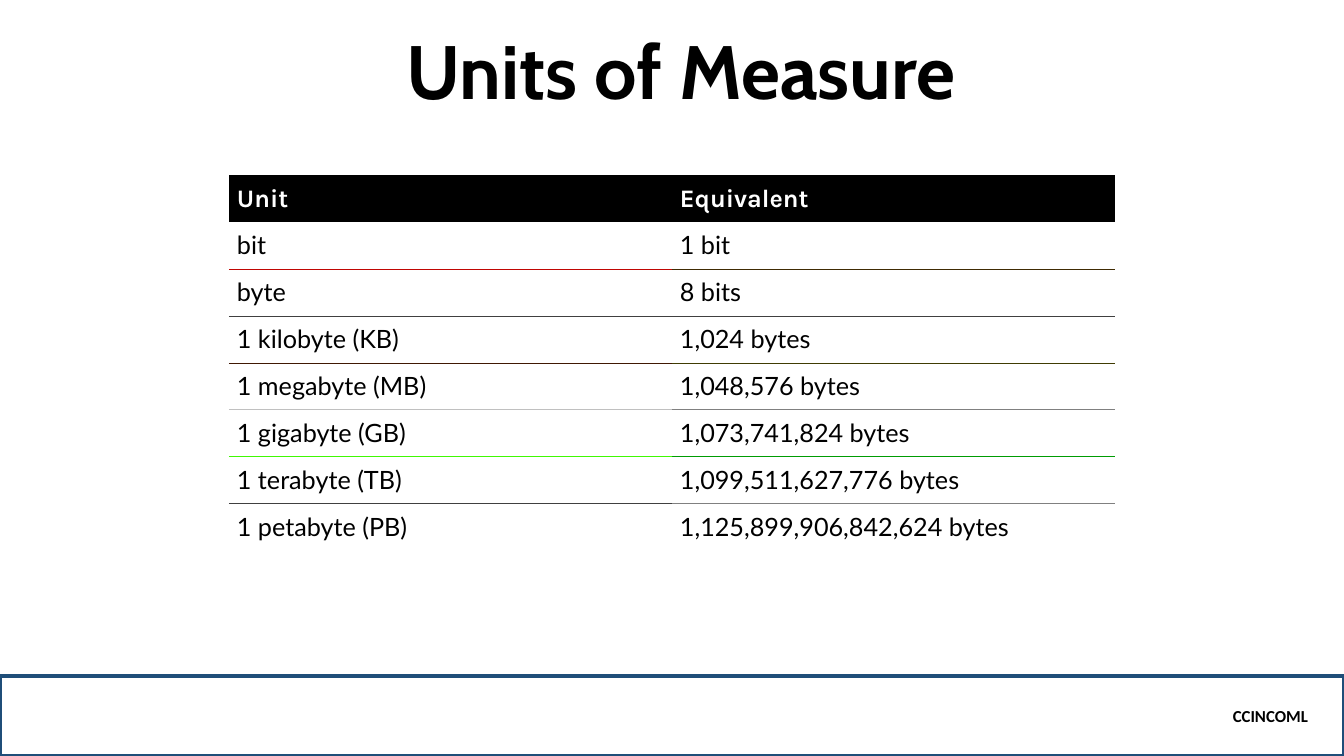
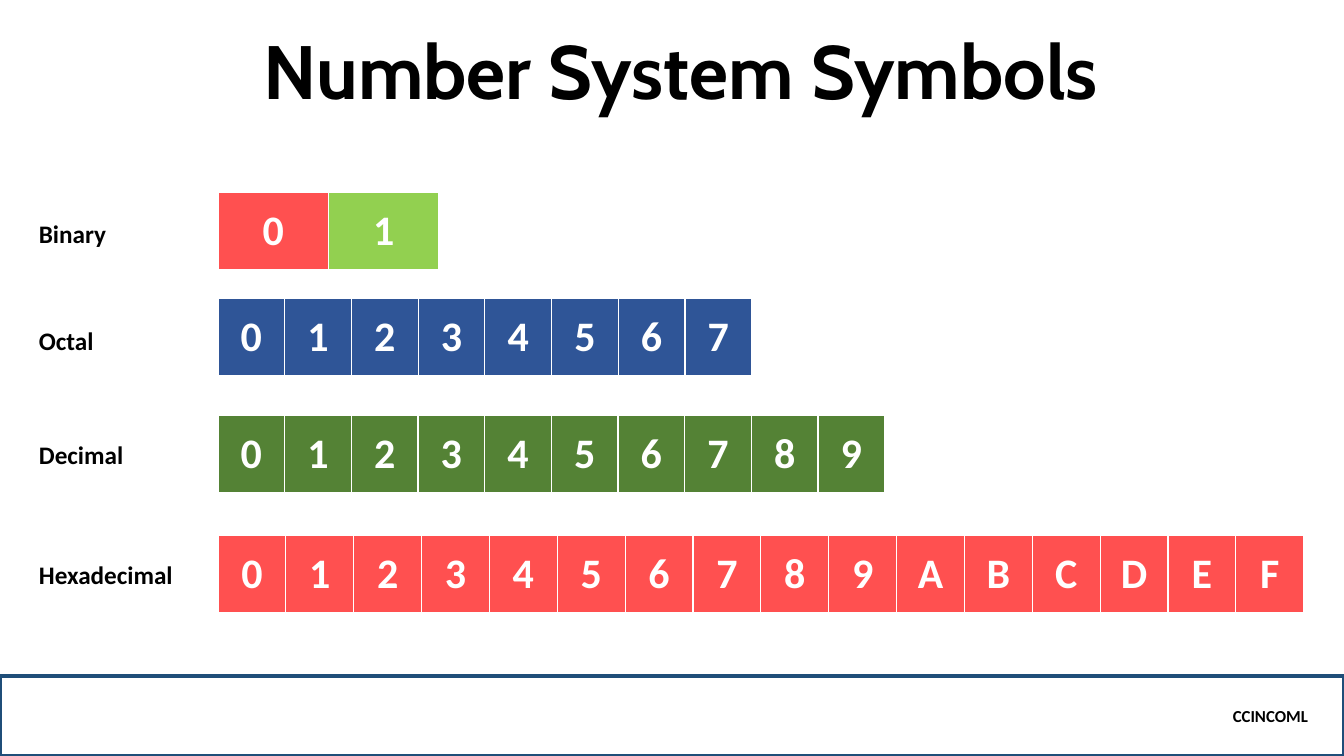
"""Build two slides on units of measure and number system symbols."""
from lxml import etree
from pptx import Presentation
from pptx import util as u
from pptx.dml.color import RGBColor
from pptx.enum import shapes, text
from pptx.oxml import ns

WIDTH, HEIGHT = 1344, 756
SCALE = 12192000 / WIDTH
BLACK = RGBColor(0x00, 0x00, 0x00)
WHITE = RGBColor(0xFF, 0xFF, 0xFF)
NAVY = RGBColor(0x1F, 0x4E, 0x79)
CORAL = RGBColor(0xFF, 0x50, 0x50)
LIME = RGBColor(0x92, 0xD0, 0x50)
BLUE = RGBColor(0x2F, 0x55, 0x97)
GREEN = RGBColor(0x54, 0x82, 0x35)
RED = RGBColor(0xC0, 0x06, 0x03)
BROWN = RGBColor(0x40, 0x2B, 0x03)
DARK_BROWN = RGBColor(0x40, 0x18, 0x03)
OLIVE = RGBColor(0x40, 0x3C, 0x03)
CHARCOAL = RGBColor(0x40, 0x40, 0x40)
GRAY = RGBColor(0x80, 0x80, 0x80)
SILVER = RGBColor(0xC0, 0xC0, 0xC0)
BRIGHT_GREEN = RGBColor(0x40, 0xF8, 0x03)
LEAF = RGBColor(0x00, 0x9C, 0x03)
PLAIN_TABLE = "{2D5ABB26-0587-4C30-8999-92F81FD0307C}"

UNITS = [
    ("Unit", "Equivalent", None, None),
    ("bit", "1 bit", RED, BROWN),
    ("byte", "8 bits", CHARCOAL, CHARCOAL),
    ("1 kilobyte (KB)", "1,024 bytes", DARK_BROWN, OLIVE),
    ("1 megabyte (MB)", "1,048,576 bytes", SILVER, GRAY),
    ("1 gigabyte (GB)", "1,073,741,824 bytes", BRIGHT_GREEN, LEAF),
    ("1 terabyte (TB)", "1,099,511,627,776 bytes", CHARCOAL, GRAY),
    ("1 petabyte (PB)", "1,125,899,906,842,624 bytes", None, None),
]
DIGITS = "0123456789ABCDEF"
SYSTEMS = [
    ("Binary", 213, 192, 221, [CORAL, LIME]),
    ("Octal", 320, 298, 534, [BLUE] * 8),
    ("Decimal", 434, 415, 667, [GREEN] * 10),
    ("Hexadecimal", 554, 535, 1086, [CORAL] * 16),
]


def px(length):
    return u.Emu(round(length * SCALE))


def write(frame, content, *, size=18, font="Calibri", color=BLACK, bold=True,
          align=text.PP_ALIGN.LEFT, spacing=None):
    paragraph = frame.paragraphs[0]
    paragraph.alignment = align
    paragraph.line_spacing = spacing
    run = paragraph.add_run()
    run.text = content
    run.font.name = font
    run.font.size = u.Pt(size)
    run.font.bold = bold
    run.font.color.rgb = color


def border(cell, side, color, width):
    line = etree.SubElement(cell._tc.get_or_add_tcPr(), ns.qn(f"a:ln{side}"),
                            w=str(u.Pt(width)))
    fill = etree.SubElement(line, ns.qn("a:solidFill"))
    etree.SubElement(fill, ns.qn("a:srgbClr"), val=str(color))


class Deck:
    """Hold the shared style and the current slide."""

    def __init__(self):
        self.presentation = Presentation()
        self.presentation.slide_width = px(WIDTH)
        self.presentation.slide_height = px(HEIGHT)
        self.slide = None

    def add_slide(self, title):
        layout = self.presentation.slide_layouts[6]
        self.slide = self.presentation.slides.add_slide(layout)
        self.footer("CCINCOML")
        self.text_box(title, 67, 26, 1228, 95, anchor=text.MSO_ANCHOR.BOTTOM,
                      size=54, font="Cabin", align=text.PP_ALIGN.CENTER,
                      spacing=0.9)

    def footer(self, content):
        shape = self.slide.shapes.add_shape(
            shapes.MSO_SHAPE.RECTANGLE, px(0), px(676), px(WIDTH), px(80))
        shape.shadow.inherit = False
        shape.fill.background()
        shape.line.color.rgb = NAVY
        shape.line.width = u.Pt(2.25)
        frame = shape.text_frame
        frame.vertical_anchor = text.MSO_ANCHOR.MIDDLE
        frame.margin_right = px(36)
        write(frame, content, size=12, align=text.PP_ALIGN.RIGHT)

    def text_box(self, content, left, top, width, height,
                 anchor=text.MSO_ANCHOR.TOP, **style):
        shape = self.slide.shapes.add_textbox(
            px(left), px(top), px(width), px(height))
        frame = shape.text_frame
        frame.word_wrap = True
        frame.vertical_anchor = anchor
        write(frame, content, **style)

    def table(self, rows, columns, left, top, width, height):
        shape = self.slide.shapes.add_table(
            rows, columns, px(left), px(top), px(width), px(height))
        table = shape.table
        table.first_row = table.horz_banding = False
        for style in shape._element.iter(ns.qn("a:tableStyleId")):
            style.text = PLAIN_TABLE
        return table

    def unit_table(self, rows):
        table = self.table(len(rows), 2, 229, 175, 886, 47 * len(rows))
        for row, (unit, equivalent, *lines) in enumerate(rows):
            header = row == 0
            for column, content in enumerate((unit, equivalent)):
                cell = table.cell(row, column)
                cell.margin_left = cell.margin_right = px(8)
                cell.margin_top = cell.margin_bottom = px(8)
                if row and rows[row - 1][2 + column]:
                    border(cell, "T", rows[row - 1][2 + column], 0.75)
                if lines[column]:
                    border(cell, "B", lines[column], 0.75)
                if header:
                    cell.fill.solid()
                    cell.fill.fore_color.rgb = BLACK
                    cell.vertical_anchor = text.MSO_ANCHOR.BOTTOM
                else:
                    cell.fill.background()
                write(cell.text_frame, content, bold=header,
                      font="Karla" if header else "Lato",
                      color=WHITE if header else BLACK)

    def symbol_strip(self, top, width, colors):
        table = self.table(1, len(colors), 218, top, width, 79)
        for column, (digit, color) in enumerate(zip(DIGITS, colors)):
            cell = table.cell(0, column)
            for side, thickness in (("L", 1), ("R", 1), ("T", 1), ("B", 3)):
                border(cell, side, WHITE, thickness)
            cell.fill.solid()
            cell.fill.fore_color.rgb = color
            cell.vertical_anchor = text.MSO_ANCHOR.MIDDLE
            write(cell.text_frame, digit, size=30, color=WHITE,
                  align=text.PP_ALIGN.CENTER)


def main():
    deck = Deck()
    deck.add_slide("Units of Measure")
    deck.unit_table(UNITS)
    deck.add_slide("Number System Symbols")
    for name, label_top, top, width, colors in SYSTEMS:
        deck.text_box(name, 29, label_top, 180, 40)
        deck.symbol_strip(top, width, colors)
    deck.presentation.save("out.pptx")


if __name__ == "__main__":
    main()
